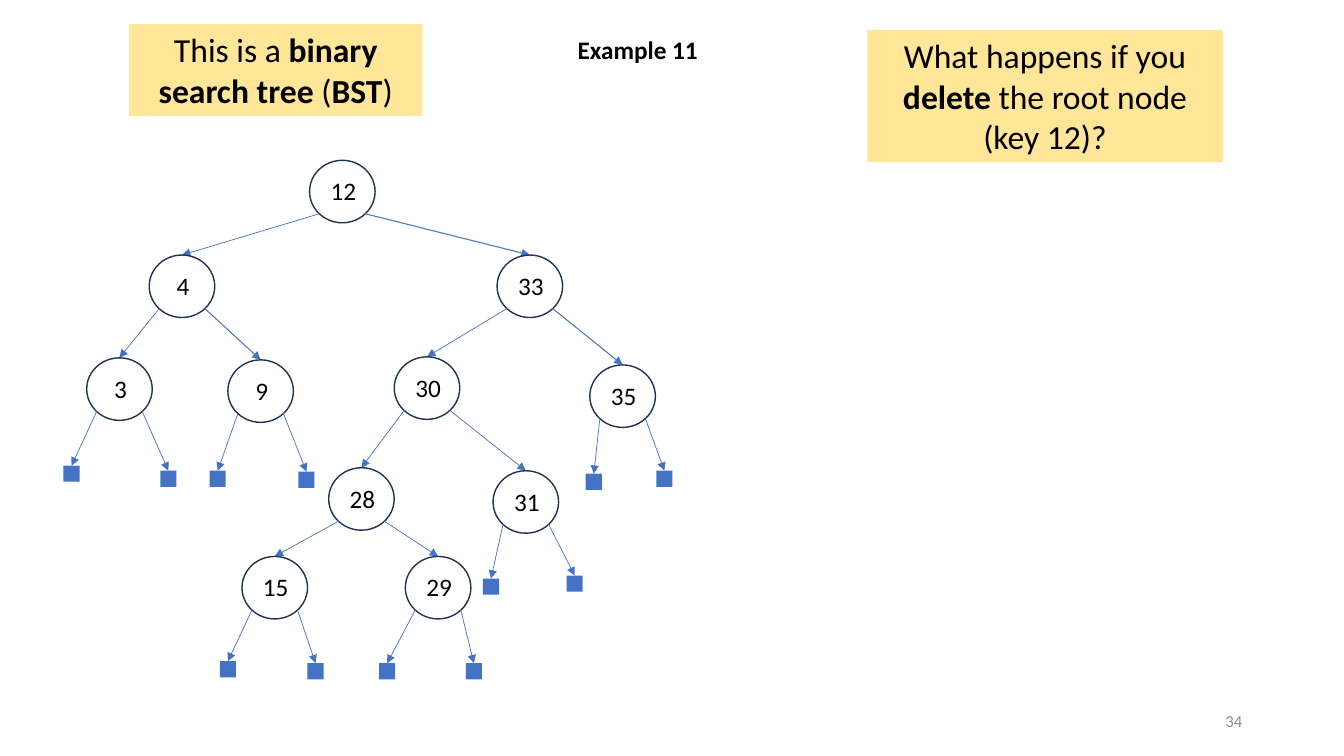
from dataclasses import dataclass

from pptx import Presentation
from pptx.dml.color import RGBColor
from pptx.enum import shapes, text
from pptx.oxml import ns
from pptx.util import Inches, Pt
from lxml import etree


# Theme
@dataclass(frozen=True)
class Theme:
    font: str = "Calibri"
    ink: RGBColor = RGBColor(0x00, 0x00, 0x00)
    muted: RGBColor = RGBColor(0x8C, 0x8C, 0x8C)
    callout: RGBColor = RGBColor(0xFF, 0xE6, 0x99)
    outline: RGBColor = RGBColor(0x1E, 0x32, 0x56)
    accent: RGBColor = RGBColor(0x44, 0x72, 0xC4)
    callout_size: int = 24
    body_size: int = 18
    number_size: int = 12


THEME = Theme()
NODE_W, NODE_H = 0.65, 0.62
LABEL_W, LABEL_H = 1.01, 0.4
CORNER_X, CORNER_Y = 0.1, 0.53  # where edges leave a node
LEAF_SIZE = 0.16


# Content
@dataclass(frozen=True)
class Leaf:
    left: float
    top: float


@dataclass(frozen=True)
class Node:
    key: int
    left: float
    top: float
    low: "Node | Leaf"
    high: "Node | Leaf"
    high_width: float = 0.5


@dataclass(frozen=True)
class Callout:
    left: float
    top: float
    width: float
    height: float
    phrases: tuple[tuple[str, bool], ...]  # wording, bold


CALLOUTS = (
    Callout(1.28, 0.24, 2.91, 0.91, (
        ("This is a ", False), ("binary search tree", True),
        (" (", False), ("BST", True), (")", False))),
    Callout(8.6, 0.3, 3.53, 1.31, (
        ("What happens if you ", False), ("delete", True),
        (" the root node (key 12)?", False))),
)

NODE_15 = Node(15, 2.4, 5.52, Leaf(2.18, 6.56), Leaf(3.05, 6.58))
NODE_29 = Node(29, 4.02, 5.52, Leaf(3.76, 6.58), Leaf(4.62, 6.58))
NODE_28 = Node(28, 3.26, 4.64, NODE_15, NODE_29)
NODE_31 = Node(31, 4.89, 4.67, Leaf(4.79, 5.74), Leaf(5.62, 5.71))
NODE_30 = Node(30, 3.91, 3.54, NODE_28, NODE_31)
NODE_35 = Node(35, 5.85, 3.62, Leaf(5.81, 4.7), Leaf(6.51, 4.67))
NODE_33 = Node(33, 4.93, 2.53, NODE_30, NODE_35, 0.75)
NODE_3 = Node(3, 0.86, 3.55, Leaf(0.63, 4.62), Leaf(1.59, 4.67))
NODE_9 = Node(9, 2.26, 3.57, Leaf(2.08, 4.67), Leaf(2.96, 4.68))
NODE_4 = Node(4, 1.48, 2.53, NODE_3, NODE_9, 0.75)
ROOT = Node(12, 3.07, 1.59, NODE_4, NODE_33, 0.75)


# Drawing functions
def format_run(r, size: int, color: RGBColor = THEME.ink, bold: bool = False) -> None:
    r.font.name = THEME.font
    r.font.size = Pt(size)
    r.font.bold = bold
    r.font.color.rgb = color


def add_label(slide, words: str, left: float, top: float, width: float,
              align, size: int, color: RGBColor = THEME.ink) -> None:
    sp = slide.shapes.add_textbox(Inches(left), Inches(top),
                                  Inches(width), Inches(LABEL_H))
    tf = sp.text_frame
    tf.word_wrap = True
    tf.vertical_anchor = text.MSO_ANCHOR.MIDDLE
    tf.text = words
    p = tf.paragraphs[0]
    p.alignment = align
    format_run(p.runs[0], size, color)


def add_box(slide, kind, left: float, top: float, width: float, height: float):
    sp = slide.shapes.add_shape(kind, Inches(left), Inches(top),
                                Inches(width), Inches(height))
    sp.shadow.inherit = False
    return sp


def add_filled_rect(slide, left: float, top: float, width: float,
                    height: float, color: RGBColor):
    sp = add_box(slide, shapes.MSO_SHAPE.RECTANGLE, left, top, width, height)
    sp.fill.solid()
    sp.fill.fore_color.rgb = color
    sp.line.fill.background()
    return sp


def add_callout(slide, callout: Callout) -> None:
    sp = add_filled_rect(slide, callout.left, callout.top, callout.width,
                         callout.height, THEME.callout)
    tf = sp.text_frame
    tf.word_wrap = True
    tf.vertical_anchor = text.MSO_ANCHOR.TOP
    p = tf.paragraphs[0]
    p.alignment = text.PP_ALIGN.CENTER
    for words, bold in callout.phrases:
        r = p.add_run()
        r.text = words
        format_run(r, THEME.callout_size, bold=bold)


def add_edge(slide, x: float, y: float, child: Node | Leaf, width: float) -> None:
    child_width = NODE_W if isinstance(child, Node) else LEAF_SIZE
    edge = slide.shapes.add_connector(
        shapes.MSO_CONNECTOR.STRAIGHT, Inches(x), Inches(y),
        Inches(child.left + child_width / 2), Inches(child.top))
    edge.line.color.rgb = THEME.accent
    edge.line.width = Pt(width)
    properties = edge.element.spPr
    etree.SubElement(properties.find(ns.qn("a:ln")), ns.qn("a:tailEnd"), type="triangle")
    etree.SubElement(properties, ns.qn("a:effectLst"))


def add_tree(slide, node: Node | Leaf) -> None:
    if isinstance(node, Leaf):
        add_filled_rect(slide, node.left, node.top, LEAF_SIZE, LEAF_SIZE, THEME.accent)
        return
    add_label(slide, str(node.key), node.left + (NODE_W - LABEL_W) / 2 + 0.01,
              node.top + 0.1, LABEL_W, text.PP_ALIGN.CENTER, THEME.body_size)
    circle = add_box(slide, shapes.MSO_SHAPE.OVAL, node.left, node.top, NODE_W, NODE_H)
    circle.fill.background()
    circle.line.color.rgb = THEME.outline
    circle.line.width = Pt(1)
    branches = ((node.low, CORNER_X, 0.5),
                (node.high, NODE_W - CORNER_X, node.high_width))
    for child, offset, width in branches:
        add_edge(slide, node.left + offset, node.top + CORNER_Y, child, width)
        add_tree(slide, child)


def add_title(slide, words: str) -> None:
    sp = slide.shapes.title
    sp.left, sp.top = Inches(5.63), Inches(0.29)
    sp.width, sp.height = Inches(1.4), Inches(0.4)
    tf = sp.text_frame
    tf.word_wrap = False
    tf.auto_size = text.MSO_AUTO_SIZE.NONE
    tf.vertical_anchor = text.MSO_ANCHOR.TOP
    tf.text = words
    p = tf.paragraphs[0]
    p.alignment = text.PP_ALIGN.LEFT
    format_run(p.runs[0], THEME.body_size, bold=True)


def main() -> None:
    prs = Presentation()
    prs.slide_width, prs.slide_height = Inches(13.33), Inches(7.5)
    slide = prs.slides.add_slide(prs.slide_layouts[5])

    # Heading, callouts and page number
    add_title(slide, "Example 11")
    for callout in CALLOUTS:
        add_callout(slide, callout)
    add_label(slide, "34", 9.42, 6.95, 3, text.PP_ALIGN.RIGHT,
              THEME.number_size, THEME.muted)

    # Search tree
    add_tree(slide, ROOT)
    prs.save("out.pptx")


if __name__ == "__main__":
    main()
